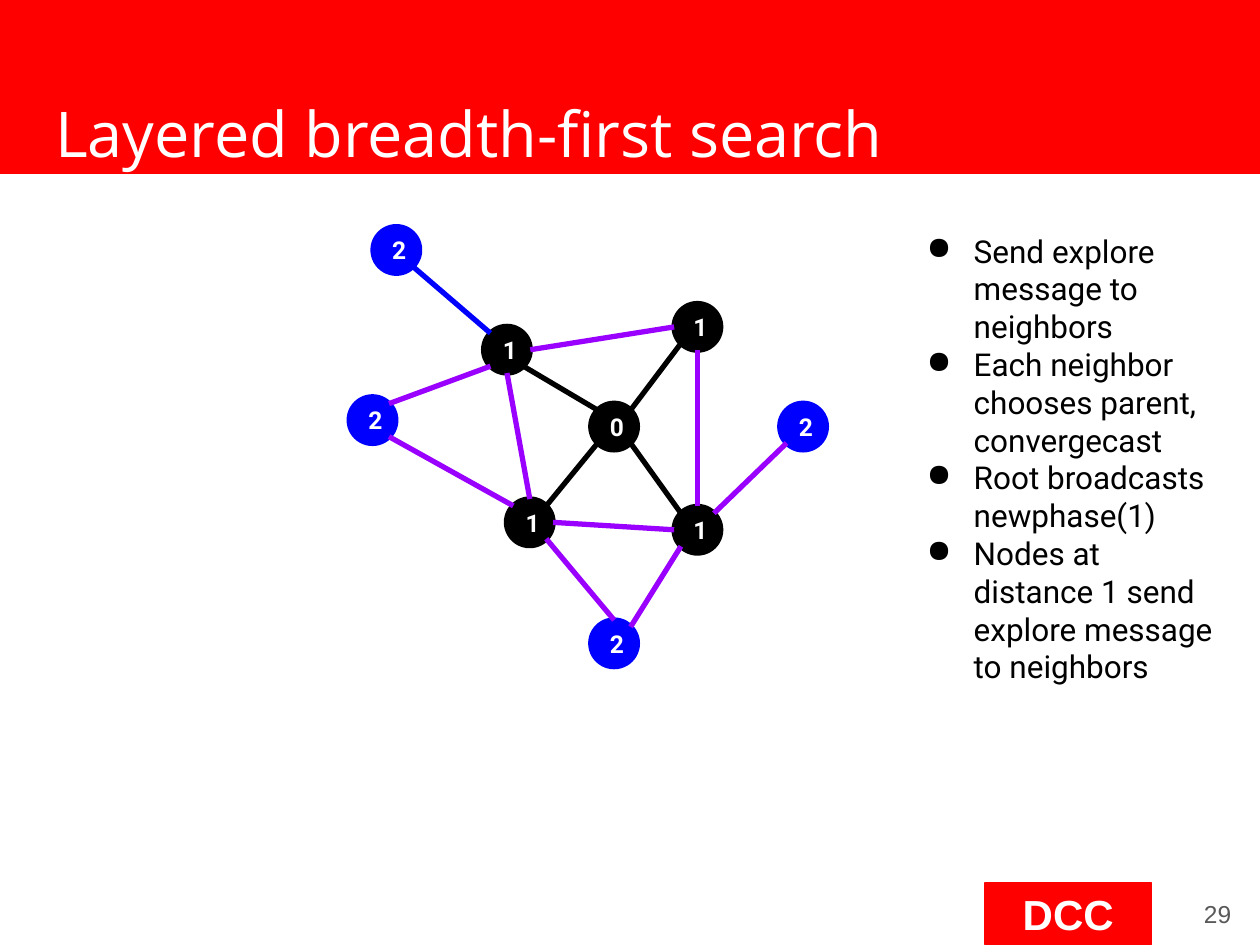
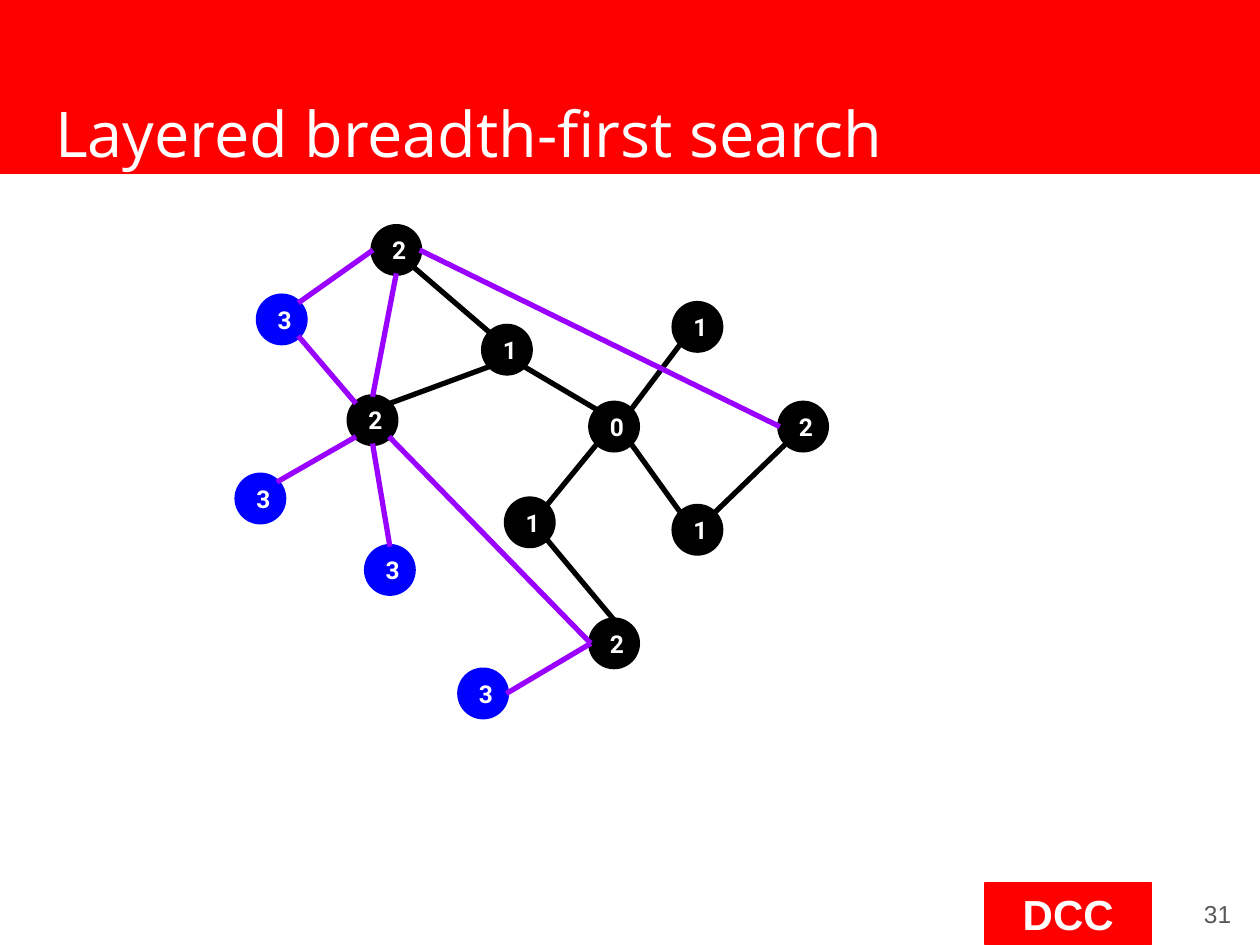
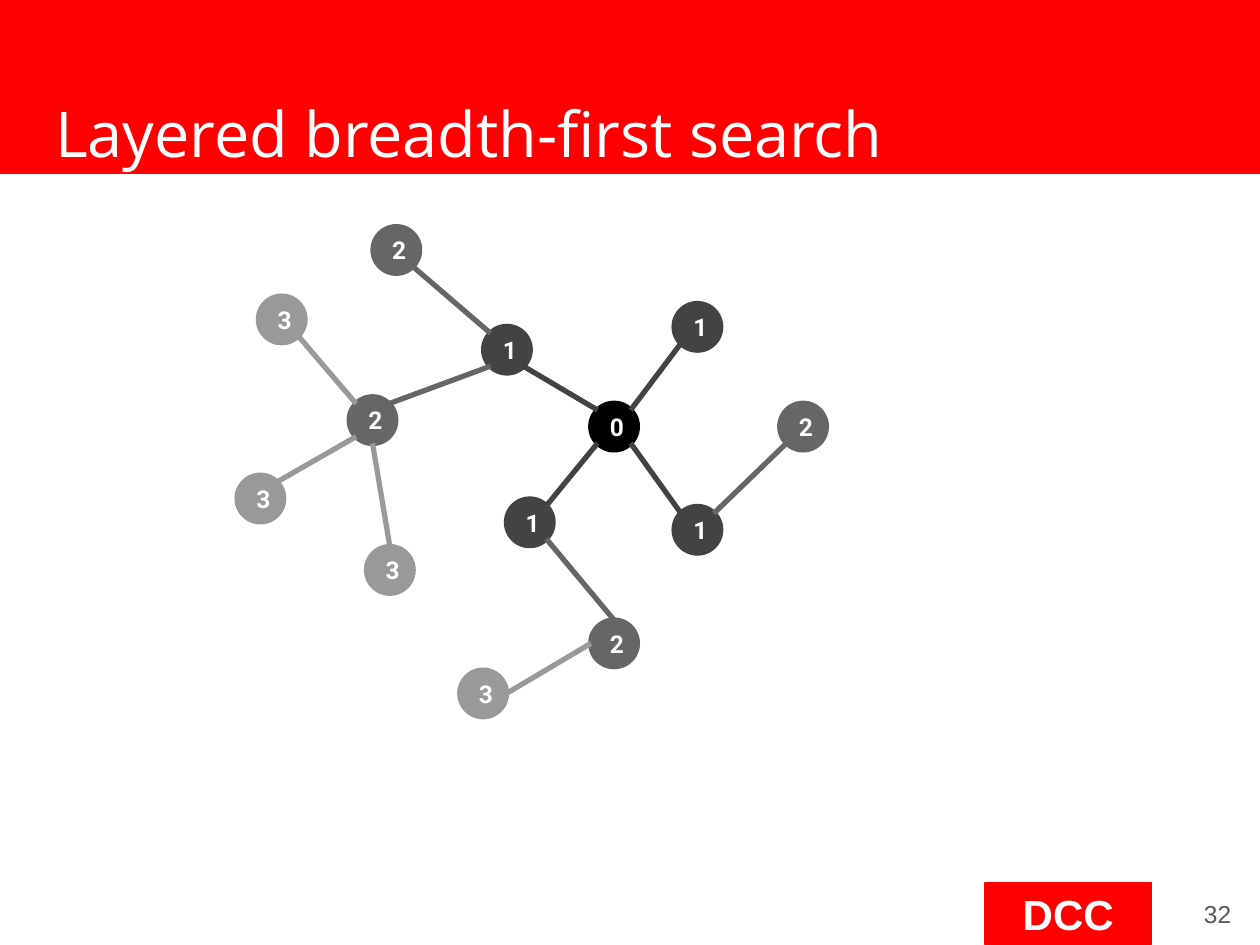
"""Build three slides that show the phases of a layered breadth-first search."""
import math

import lxml.etree
import pptx
import pptx.dml.color
import pptx.enum.shapes
import pptx.enum.text
import pptx.oxml.ns
import pptx.util

Cm = pptx.util.Cm
Pt = pptx.util.Pt
SHAPES = pptx.enum.shapes.MSO_SHAPE
ALIGN = pptx.enum.text.PP_ALIGN
ANCHOR = pptx.enum.text.MSO_ANCHOR

RED, WHITE, GREY = "FF0000", "FFFFFF", "595959"
BLACK, BLUE, PURPLE = "000000", "0000FF", "9900FF"
INSET = Cm(0.25)
DIAMETER = 0.94
ANGLES = {"E": 0, "SE": 45, "S": 90, "SW": 135, "W": 180, "NW": 225, "N": 270, "NE": 315}

NODES = {
    "root": (0, 11.91, 8.13),
    "upper left": (1, 9.75, 6.58),
    "upper right": (1, 13.59, 6.12),
    "lower left": (1, 10.21, 10.06),
    "lower right": (1, 13.59, 10.21),
    "hub": (2, 7.04, 8.0),
    "top": (2, 7.52, 4.57),
    "right": (2, 15.72, 8.13),
    "bottom": (2, 11.91, 12.5),
    "hub leaf above": (3, 5.21, 5.97),
    "hub leaf below": (3, 7.39, 11.02),
    "hub leaf beside": (3, 4.78, 9.58),
    "bottom leaf": (3, 9.27, 13.51),
}

TREE = [
    ("lower right", "NW", "root", "SE"),
    ("lower left", "NE", "root", "SW"),
    ("upper right", "SW", "root", "NE"),
    ("upper left", "SE", "root", "NW"),
    ("top", "SE", "upper left", "NW"),
    ("hub", "NE", "upper left", "SW"),
    ("bottom", "N", "lower left", "SE"),
    ("right", "SW", "lower right", "NE"),
    ("hub leaf below", "N", "hub", "S"),
    ("bottom leaf", "E", "bottom", "W"),
    ("hub leaf above", "SE", "hub", "NW"),
    ("hub leaf beside", "NE", "hub", "SW"),
]

FIRST_CROSSINGS = [
    ("lower left", "NW", "hub", "SE"),
    ("lower left", "N", "upper left", "S"),
    ("lower right", "W", "lower left", "E"),
    ("bottom", "NE", "lower right", "SW"),
    ("upper right", "S", "lower right", "N"),
    ("upper right", "W", "upper left", "E"),
]
SECOND_CROSSINGS = [
    ("top", "S", "hub", "N"),
    ("bottom", "W", "hub", "SE"),
    ("top", "W", "hub leaf above", "NE"),
    ("top", "E", "right", "W"),
]
STEPS = [
    "Send explore message to neighbors",
    "Each neighbor chooses parent, convergecast",
    "Root broadcasts newphase(1)",
    "Nodes at distance 1 send explore message to neighbors",
]

SHADES = [BLACK, "434343", "666666", "999999"]
PHASES = [
    ("29", [BLACK, BLACK, BLUE], [None, BLACK, PURPLE], {"top": BLUE}, FIRST_CROSSINGS, STEPS),
    ("31", [BLACK, BLACK, BLACK, BLUE], [None, BLACK, BLACK, PURPLE], {}, SECOND_CROSSINGS, []),
    ("32", SHADES, SHADES, {}, [], []),
]
DRAWING_ORDER = [("node", 0), ("edge", 1), ("node", 1), ("node", 2), ("edge", 2), ("node", 3), ("edge", 3)]


def rgb(value):
    return pptx.dml.color.RGBColor.from_string(value)


def add_block(page, preset, place, fill, line_width, lines, size, font, colour, bold, align, anchor):
    lengths = [Cm(length) for length in place]
    if preset is None:
        block = page.shapes.add_textbox(*lengths)
    else:
        block = page.shapes.add_shape(preset, *lengths)
        block.shadow.inherit = False
        block.fill.solid()
        block.fill.fore_color.rgb = rgb(fill)
        block.line.color.rgb = rgb(fill)
        block.line.width = Pt(line_width)
    frame = block.text_frame
    frame.word_wrap = True
    frame.vertical_anchor = anchor
    frame.margin_left = frame.margin_right = frame.margin_top = frame.margin_bottom = INSET
    frame.text = "\n".join(lines)
    for para in frame.paragraphs:
        para.alignment = align
        for span in para.runs:
            span.font.size = Pt(size)
            span.font.name = font
            span.font.bold = bold
            span.font.color.rgb = rgb(colour)
    return block


deck = pptx.Presentation()
deck.slide_width = Cm(25.4)
deck.slide_height = Cm(19.05)

for number, node_colours, edge_colours, exceptions, crossings, steps in PHASES:
    page = deck.slides.add_slide(deck.slide_layouts[6])
    add_block(page, SHAPES.RECTANGLE, (0, 0, 25.4, 3.5), RED, 0.75,
              [], 24, "Arial", WHITE, False, ALIGN.CENTER, ANCHOR.MIDDLE)
    add_block(page, SHAPES.RECTANGLE, (19.86, 17.8, 3.35, 1.24), RED, 0.75,
              ["DCC"], 24, "Arial", WHITE, True, ALIGN.CENTER, ANCHOR.MIDDLE)
    add_block(page, None, (0.86, 1.65, 23.67, 2.1), None, 0,
              ["Layered breadth-first search"], 36, "Open Sans", WHITE, False, ALIGN.LEFT, ANCHOR.TOP)
    add_block(page, None, (23.55, 17.7, 1.52, 1.45), None, 0,
              [number], 14, "Arial", GREY, False, ALIGN.RIGHT, ANCHOR.MIDDLE)

    edges = []
    for kind, layer in DRAWING_ORDER[:]:
        if layer >= len(node_colours):
            continue
        if kind == "node":
            for depth, left, top in NODES.values():
                if depth == layer:
                    add_block(page, SHAPES.OVAL, (left, top, DIAMETER, DIAMETER), node_colours[layer], 3,
                              [str(depth)], 14, "Roboto", WHITE, True, ALIGN.CENTER, ANCHOR.MIDDLE)
            continue
        edges = [(edge, exceptions.get(edge[0], edge_colours[layer]))
                 for edge in TREE if NODES[edge[0]][0] == layer]
        if layer == len(node_colours) - 1:
            edges += [(edge, PURPLE) for edge in crossings]
        for (start, start_side, end, end_side), colour in edges:
            points = []
            for name, side in ((start, start_side), (end, end_side)):
                depth, left, top = NODES[name]
                angle = math.radians(ANGLES[side])
                points.append(Cm(left + DIAMETER / 2 * (1 + math.cos(angle))))
                points.append(Cm(top + DIAMETER / 2 * (1 + math.sin(angle))))
            link = page.shapes.add_connector(pptx.enum.shapes.MSO_CONNECTOR.STRAIGHT, *points)
            link.line.color.rgb = rgb(colour)
            link.line.width = Pt(3)
            lxml.etree.SubElement(link._element.spPr, pptx.oxml.ns.qn("a:effectLst"))

    if steps:
        box = add_block(page, None, (18.11, 4.42, 6.6, 12.6), None, 0,
                        steps, 18, "Roboto", BLACK, False, ALIGN.LEFT, ANCHOR.TOP)
        for para in box.text_frame.paragraphs:
            settings = para._p.get_or_add_pPr()
            settings.set("marL", str(Cm(1.27)))
            settings.set("indent", str(-Cm(0.95)))
            bullet = lxml.etree.SubElement(settings, pptx.oxml.ns.qn("a:buChar"))
            bullet.set("char", "●")

deck.save("out.pptx")
